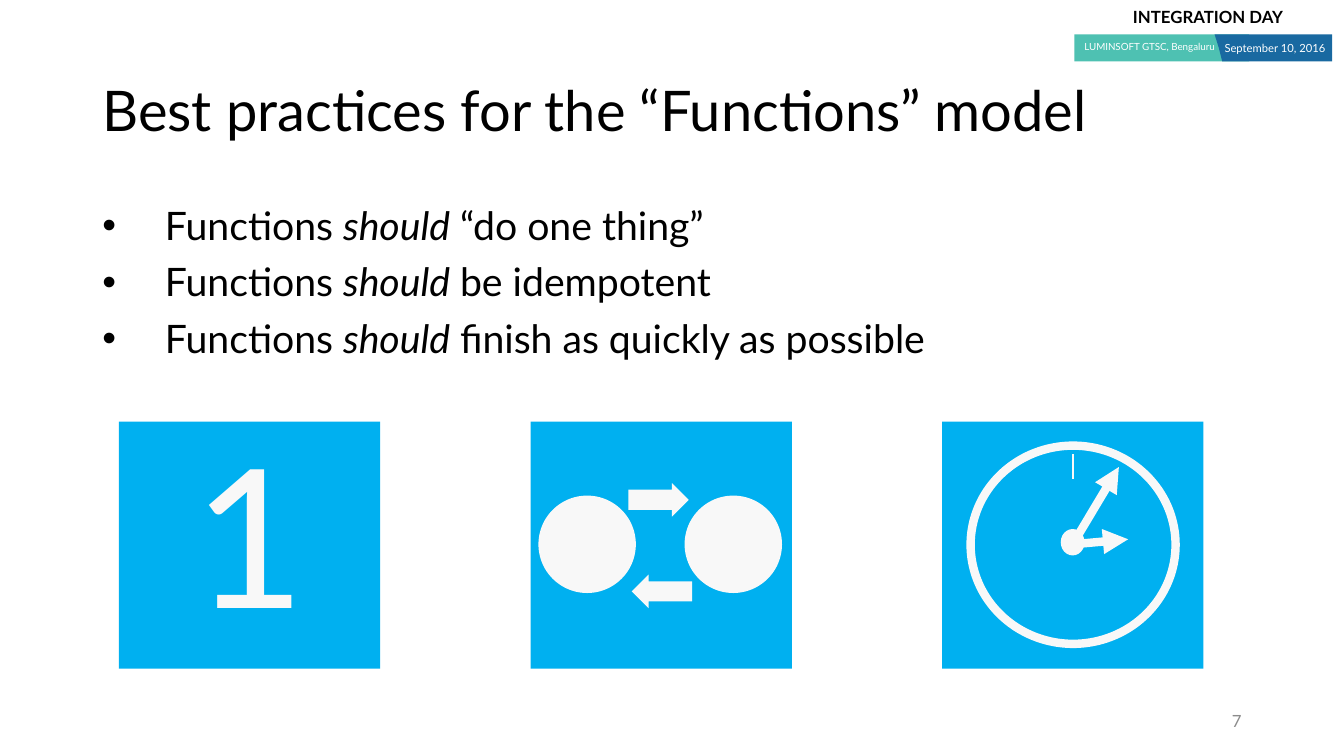
from dataclasses import dataclass

from lxml.etree import SubElement
from pptx import Presentation
from pptx.dml.color import RGBColor
from pptx.enum.shapes import MSO_CONNECTOR, MSO_SHAPE
from pptx.enum.text import MSO_ANCHOR, MSO_AUTO_SIZE, PP_ALIGN
from pptx.oxml.ns import qn
from pptx.util import Emu, Inches, Pt

BLACK = RGBColor(0x00, 0x00, 0x00)
WHITE = RGBColor(0xFF, 0xFF, 0xFF)
OFF_WHITE = RGBColor(0xF8, 0xF8, 0xF8)
GRAY = RGBColor(0x8C, 0x8C, 0x8C)
TEAL = RGBColor(0x4E, 0xC1, 0xB2)
NAVY = RGBColor(0x19, 0x69, 0xA1)
SKY = RGBColor(0x00, 0xB0, 0xF0)

FONT = "Lato"
SLIDE_WIDTH, SLIDE_HEIGHT = Inches(13.333), Inches(7.5)
COLUMNS, ROWS = 160, 90

TILE_LEFT, TILE_TOP, TILE_WIDTH, TILE_HEIGHT, TILE_PITCH = 14.16, 50.2, 31.1, 29.4, 49
CLOCK_CENTER = (127.7, 64.8)


@dataclass(frozen=True)
class Box:
    """Left, top, width and height in grid columns and rows."""
    left: float
    top: float
    width: float
    height: float

    def lengths(self) -> tuple[Emu, Emu, Emu, Emu]:
        return column(self.left), row(self.top), column(self.width), row(self.height)


@dataclass(frozen=True)
class Label:
    text: str
    box: Box
    size: float
    color: RGBColor
    align: PP_ALIGN = PP_ALIGN.LEFT
    bold: bool = False
    anchor: MSO_ANCHOR = MSO_ANCHOR.TOP


@dataclass(frozen=True)
class Figure:
    kind: MSO_SHAPE
    box: Box
    fill: RGBColor | None
    line_width: float = 0
    rotation: float = 0


@dataclass(frozen=True)
class Stroke:
    start: tuple[float, float]
    end: tuple[float, float]
    width: float
    arrow: bool = False


HEADER_LABELS = [
    Label("INTEGRATION DAY", Box(133.7, 0.24, 21.7, 3.6), 12, BLACK, bold=True),
    Label("LUMINSOFT GTSC, Bengaluru", Box(126.7, 4.3, 19.1, 2.8), 7, WHITE, PP_ALIGN.RIGHT),
    Label("September 10, 2016", Box(144.6, 4.3, 15.4, 2.9), 8, WHITE),
]
PAGE_NUMBER = Label("7", Box(113, 83.4, 36, 4.8), 12, GRAY, PP_ALIGN.RIGHT,
                    anchor=MSO_ANCHOR.MIDDLE)
BIG_ONE = Label("1", Box(17, 50.6, 25.3, 29.4), 138, OFF_WHITE, PP_ALIGN.CENTER)

VENUE_BAND = Figure(MSO_SHAPE.RECTANGLE, Box(127.9, 4.1, 20.8, 3.2), TEAL)
DATE_BAND = [(144.6, 4.1), (145.1, 5.7), (145.5, 7.3), (158.6, 7.3), (158.6, 4.1)]

TILES = [
    Figure(MSO_SHAPE.RECTANGLE,
           Box(TILE_LEFT + index * TILE_PITCH, TILE_TOP, TILE_WIDTH, TILE_HEIGHT), SKY)
    for index in range(3)
]
CYCLE = [
    Figure(MSO_SHAPE.OVAL, Box(64.1, 59, 11.6, 11.6), OFF_WHITE),
    Figure(MSO_SHAPE.RIGHT_ARROW, Box(74.8, 57.5, 7.2, 4), OFF_WHITE),
    Figure(MSO_SHAPE.OVAL, Box(81.5, 59, 11.6, 11.6), OFF_WHITE),
    Figure(MSO_SHAPE.RIGHT_ARROW, Box(75.2, 68.4, 7.2, 4), OFF_WHITE, rotation=180),
]
CLOCK_FACE = Figure(MSO_SHAPE.OVAL, Box(115.55, 53.05, 24.4, 23.6), None, 6)
CLOCK_HUB = Figure(MSO_SHAPE.OVAL, Box(126.35, 63.05, 2.7, 3), OFF_WHITE, 0.85)
CLOCK_STROKES = [
    Stroke((127.7, 54.1), (127.7, 57), 1.5),
    Stroke(CLOCK_CENTER, (133.2, 55.6), 6, arrow=True),
    Stroke(CLOCK_CENTER, (134.3, 64.2), 6, arrow=True),
]

TITLE = "Best practices for the “Functions” model"
PRACTICES = [" “do one thing”", " be idempotent", " finish as quickly as possible"]


def column(count: float) -> Emu:
    return Emu(round(SLIDE_WIDTH * count / COLUMNS))


def row(count: float) -> Emu:
    return Emu(round(SLIDE_HEIGHT * count / ROWS))


def add_run(paragraph, text: str, size: float, color: RGBColor,
            bold: bool = False, italic: bool = False) -> None:
    run = paragraph.add_run()
    run.text = text
    font = run.font
    font.name, font.size, font.bold, font.italic = FONT, Pt(size), bold, italic
    font.color.rgb = color


def add_label(slide, label: Label):
    frame = slide.shapes.add_textbox(*label.box.lengths()).text_frame
    frame.word_wrap = True
    frame.vertical_anchor = label.anchor
    paragraph = frame.paragraphs[0]
    paragraph.alignment = label.align
    add_run(paragraph, label.text, label.size, label.color, label.bold)
    return frame


def add_figure(slide, figure: Figure) -> None:
    shape = slide.shapes.add_shape(figure.kind, *figure.box.lengths())
    shape.shadow.inherit = False
    shape.rotation = figure.rotation
    if figure.kind == MSO_SHAPE.RIGHT_ARROW:
        shape.adjustments[0] = 0.6
    if figure.fill is None:
        shape.fill.background()
    else:
        shape.fill.solid()
        shape.fill.fore_color.rgb = figure.fill
    if figure.line_width:
        shape.line.color.rgb = OFF_WHITE
        shape.line.width = Pt(figure.line_width)
    else:
        shape.line.fill.background()


def add_stroke(slide, stroke: Stroke) -> None:
    (start_x, start_y), (end_x, end_y) = stroke.start, stroke.end
    connector = slide.shapes.add_connector(
        MSO_CONNECTOR.STRAIGHT, column(start_x), row(start_y), column(end_x), row(end_y))
    connector.line.color.rgb = OFF_WHITE
    connector.line.width = Pt(stroke.width)
    if stroke.arrow:
        SubElement(connector.line._get_or_add_ln(), qn("a:tailEnd"), type="triangle")
    SubElement(connector._element.spPr, qn("a:effectLst"))


def add_header(slide) -> None:
    add_figure(slide, VENUE_BAND)
    points = [(column(x), row(y)) for x, y in DATE_BAND]
    builder = slide.shapes.build_freeform(*points[0])
    builder.add_line_segments(points[1:], close=True)
    band = builder.convert_to_shape()
    band.shadow.inherit = False
    band.fill.solid()
    band.fill.fore_color.rgb = NAVY
    band.line.fill.background()
    for label in HEADER_LABELS:
        add_label(slide, label)


def place(placeholder, box: Box, anchor: MSO_ANCHOR):
    placeholder.left, placeholder.top, placeholder.width, placeholder.height = box.lengths()
    frame = placeholder.text_frame
    frame.auto_size = MSO_AUTO_SIZE.NONE
    frame.vertical_anchor = anchor
    return frame


def fill_placeholders(slide) -> None:
    title = place(slide.shapes.title, Box(11, 4.8, 138, 17.4), MSO_ANCHOR.MIDDLE).paragraphs[0]
    title.alignment = PP_ALIGN.LEFT
    title.line_spacing = 0.9
    add_run(title, TITLE, 40, BLACK)

    body = place(slide.placeholders[1], Box(11, 24, 138, 57.1), MSO_ANCHOR.TOP)
    for index, ending in enumerate(PRACTICES):
        paragraph = body.add_paragraph() if index else body.paragraphs[0]
        paragraph.line_spacing = 0.9
        paragraph.space_before = Pt(10)
        properties = paragraph._p.get_or_add_pPr()
        properties.set("marL", str(Inches(0.62)))
        properties.set("indent", str(-Inches(0.62)))
        SubElement(properties, qn("a:buFont"), typeface="Arial")
        SubElement(properties, qn("a:buChar"), char="•")
        add_run(paragraph, "Functions ", 28, BLACK)
        add_run(paragraph, "should", 28, BLACK, italic=True)
        add_run(paragraph, ending, 28, BLACK)


def add_big_one(slide) -> None:
    frame = add_label(slide, BIG_ONE)
    frame.margin_left = frame.margin_right = Inches(0.2)
    frame.margin_top = frame.margin_bottom = Inches(0.16)
    frame.paragraphs[0].line_spacing = 0.9
    frame.paragraphs[0].space_after = Pt(6)


def main() -> None:
    presentation = Presentation()
    presentation.slide_width, presentation.slide_height = SLIDE_WIDTH, SLIDE_HEIGHT
    slide = presentation.slides.add_slide(presentation.slide_layouts[1])
    add_header(slide)
    fill_placeholders(slide)
    add_label(slide, PAGE_NUMBER)
    for figure in TILES + CYCLE + [CLOCK_FACE]:
        add_figure(slide, figure)
    add_big_one(slide)
    for stroke in CLOCK_STROKES:
        add_stroke(slide, stroke)
    add_figure(slide, CLOCK_HUB)
    presentation.save("out.pptx")


if __name__ == "__main__":
    main()
